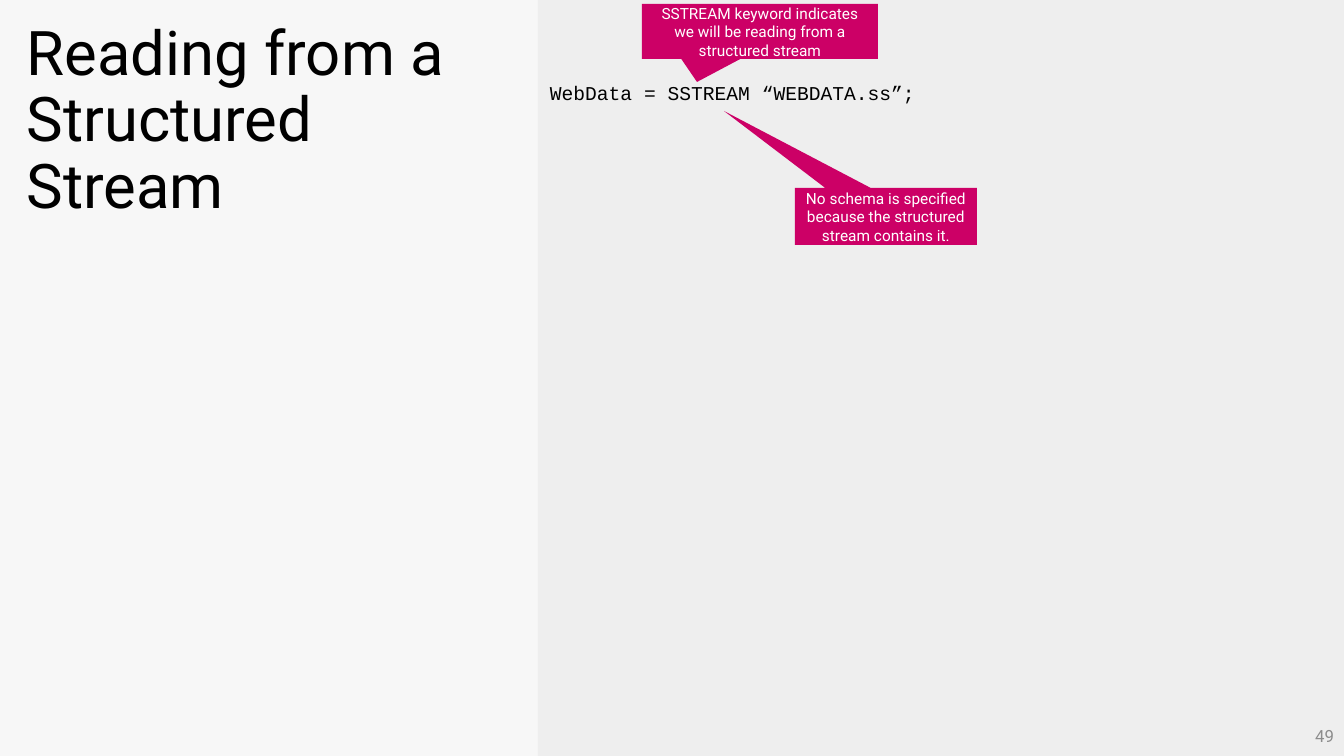
from pptx import Presentation, util as u
from pptx.dml.color import RGBColor
from pptx.enum import shapes, text

SCALE = 914400 / 100.8  # EMU in one px
WIDE, HIGH = 1344, 756
SPLIT = 538  # left edge of the code panel


def px(n):
    return u.Emu(round(n * SCALE))


def color(code):
    return RGBColor.from_string(code)


def paint(fill, code):
    fill.solid()
    fill.fore_color.rgb = color(code)


def block(slide, kind, box, fill):
    shape = slide.shapes.add_shape(kind, *map(px, box))
    shape.shadow.inherit = False
    paint(shape.fill, fill)
    shape.line.fill.background()
    return shape


def write(shape, words, size, ink="000000", font="Roboto", align="LEFT",
          anchor="TOP", space=1.0):
    frame = shape.text_frame
    frame.word_wrap = True
    frame.vertical_anchor = getattr(text.MSO_ANCHOR, anchor)
    para = frame.paragraphs[0]
    para.text = words
    para.alignment = getattr(text.PP_ALIGN, align)
    para.line_spacing = space
    para.font.size = u.Pt(size)
    para.font.name = font
    para.font.color.rgb = color(ink)


def label(slide, box, words, size, **style):
    write(slide.shapes.add_textbox(*map(px, box)), words, size, **style)


def callout(slide, box, tip, words):
    """A note whose wedge points at tip, given in slide px."""
    left, top, width, height = box
    note = block(slide, shapes.MSO_SHAPE.RECTANGULAR_CALLOUT, box, "CC0066")
    note.adjustments[0] = (tip[0] - left) / width - 0.5
    note.adjustments[1] = (tip[1] - top) / height - 0.5
    write(note, words, 11, ink="FFFFFF", align="CENTER", anchor="MIDDLE")


def heading(slide, box):
    left, top, width, height = box
    label(slide, (left + 17, top + 17, width - 42, height - 33),
          "Reading from a Structured Stream", 44, space=0.9)


def panel(slide, box):
    left, top, width, height = box
    block(slide, shapes.MSO_SHAPE.RECTANGLE, box, "EEEEEE")

    # Page number in the bottom right corner
    label(slide, (left + width - 303, top + height - 40, 303, 40), "49", 12,
          ink="8C8C8C", align="RIGHT", anchor="MIDDLE")

    # Code line
    label(slide, (left + 2, top + 76, 731, 519),
          "WebData = SSTREAM “WEBDATA.ss”;", 14, font="Courier New")

    # Notes above and below the code
    callout(slide, (left + 104, top + 4, 236, 55), (left + 159, top + 82),
            "SSTREAM keyword indicates we will be reading from "
            "a structured stream")
    callout(slide, (left + 257, top + 188, 182, 57), (left + 186, top + 111),
            "No schema is specified because the structured stream "
            "contains it.")


def main():
    deck = Presentation()
    deck.slide_width, deck.slide_height = px(WIDE), px(HIGH)
    slide = deck.slides.add_slide(deck.slide_layouts[6])
    paint(slide.background.fill, "F7F7F7")
    panel(slide, (SPLIT, 0, WIDE - SPLIT, HIGH))
    heading(slide, (0, 0, SPLIT, HIGH))
    deck.save("out.pptx")


if __name__ == "__main__":
    main()
